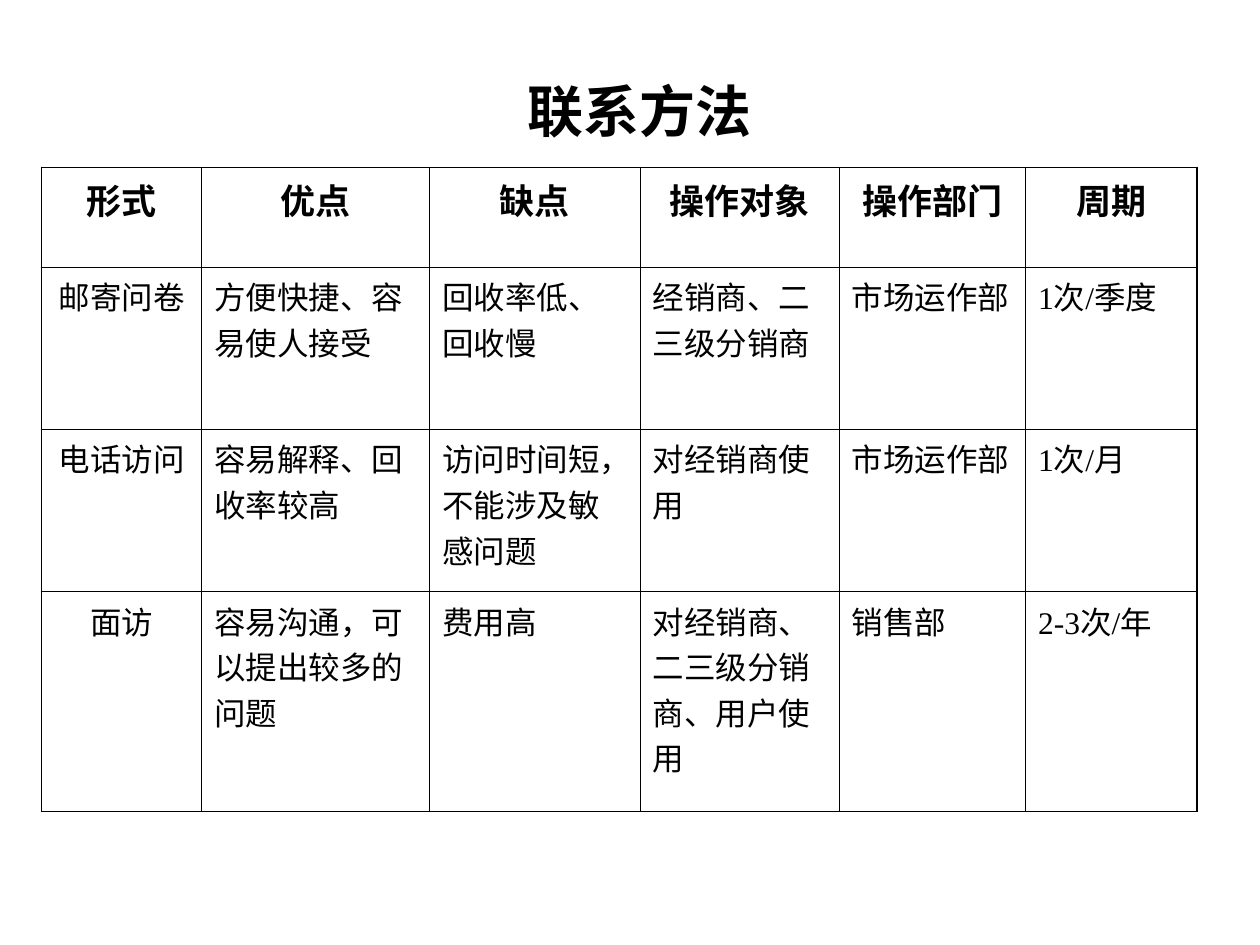
import dataclasses

import pptx
import pptx.dml.color
import pptx.enum.text
import pptx.oxml
import pptx.oxml.ns
import pptx.util
from pptx.util import Inches


@dataclasses.dataclass(frozen=True)
class Theme:
    font: str = "Times New Roman"
    ink: str = "000000"
    title_size: int = 32
    header_size: int = 20
    body_size: int = 18
    outer_rule: float = 1.08
    inner_rule: float = 0.45


THEME = Theme()
CENTER = pptx.enum.text.PP_ALIGN.CENTER
LEFT = pptx.enum.text.PP_ALIGN.LEFT

CONTACT_METHODS = [
    ["形式", "优点", "缺点", "操作对象", "操作部门", "周期"],
    ["邮寄问卷", "方便快捷、容易使人接受", "回收率低、回收慢",
     "经销商、二三级分销商", "市场运作部", "1次/季度"],
    ["电话访问", "容易解释、回收率较高", "访问时间短，不能涉及敏感问题",
     "对经销商使用", "市场运作部", "1次/月"],
    ["面访", "容易沟通，可以提出较多的问题", "费用高",
     "对经销商、二三级分销商、用户使用", "销售部", "2-3次/年"],
]
COLUMN_WIDTHS = [1.27, 1.81, 1.67, 1.58, 1.48, 1.36]
ROW_HEIGHTS = [0.79, 1.29, 1.29, 1.75]


def style_paragraph(paragraph, size, bold, alignment):
    paragraph.alignment = alignment
    font = paragraph.font
    font.name = THEME.font
    font.size = pptx.util.Pt(size)
    font.bold = bold
    font.color.rgb = pptx.dml.color.RGBColor.from_string(THEME.ink)


def set_borders(cell, is_outer):
    """Rule each side of a cell; is_outer maps L, R, T, B to True at the table edge."""
    properties = cell._tc.get_or_add_tcPr()
    for index, (side, outer) in enumerate(is_outer.items()):
        width = pptx.util.Pt(THEME.outer_rule if outer else THEME.inner_rule)
        rule = pptx.oxml.parse_xml(
            f'<a:ln{side} {pptx.oxml.ns.nsdecls("a")} w="{int(width)}">'
            f'<a:solidFill><a:srgbClr val="{THEME.ink}"/></a:solidFill>'
            f'</a:ln{side}>')
        properties.insert(index, rule)


def add_title(slide, left, top, width, height):
    title = slide.shapes.title
    title.left, title.top, title.width, title.height = left, top, width, height
    frame = title.text_frame
    frame.text = "联系方法"
    frame.auto_size = pptx.enum.text.MSO_AUTO_SIZE.NONE
    frame.vertical_anchor = pptx.enum.text.MSO_ANCHOR.MIDDLE
    style_paragraph(frame.paragraphs[0], THEME.title_size, True, CENTER)


def add_methods_table(slide, left, top, width, height):
    last_row, last_column = len(ROW_HEIGHTS) - 1, len(COLUMN_WIDTHS) - 1
    table = slide.shapes.add_table(
        last_row + 1, last_column + 1, left, top, width, height).table
    table.first_row = table.horz_banding = False

    # Share the box out in proportion to the column and row measures
    for column, share in zip(table.columns, COLUMN_WIDTHS):
        column.width = int(width * share / sum(COLUMN_WIDTHS))
    for row, share in zip(table.rows, ROW_HEIGHTS):
        row.height = int(height * share / sum(ROW_HEIGHTS))

    # Header row and first column are centred
    for r, texts in enumerate(CONTACT_METHODS):
        header = r == 0
        for c, text in enumerate(texts):
            cell = table.cell(r, c)
            cell.text = text
            cell.fill.background()
            style_paragraph(
                cell.text_frame.paragraphs[0],
                THEME.header_size if header else THEME.body_size,
                header, CENTER if header or c == 0 else LEFT)
            set_borders(cell, {"L": c == 0, "R": c == last_column,
                               "T": header, "B": r == last_row})


def main():
    presentation = pptx.Presentation()
    presentation.slide_width = Inches(10)
    presentation.slide_height = Inches(7.5)
    slide = presentation.slides.add_slide(presentation.slide_layouts[5])
    add_title(slide, Inches(3.33), Inches(0.58), Inches(3.5), Inches(0.58))
    add_methods_table(slide, Inches(0.33), Inches(1.33), Inches(9.17), Inches(5.11))
    presentation.save("out.pptx")


if __name__ == "__main__":
    main()
